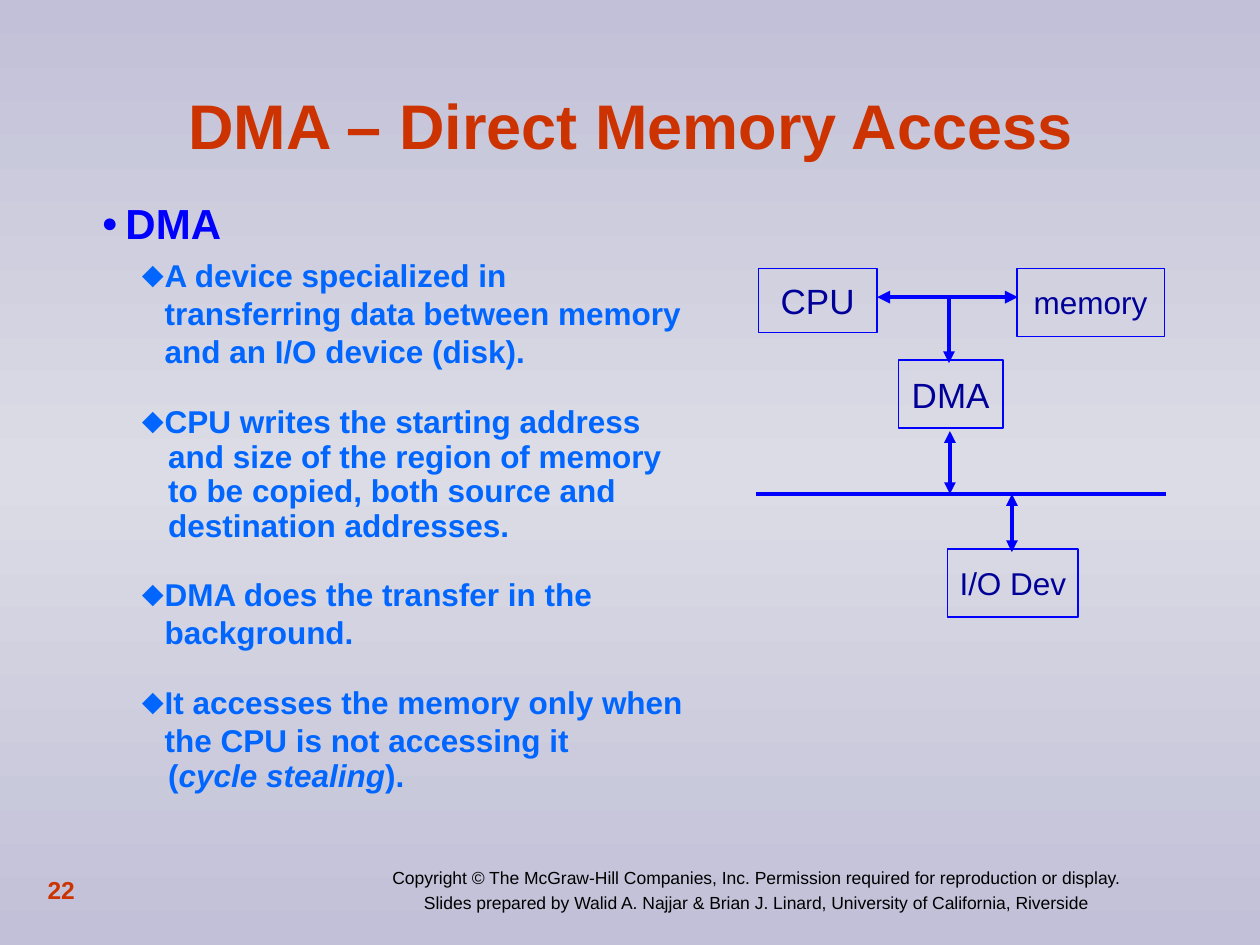
"""Build the slide on direct memory access with its bus diagram."""
from copy import deepcopy

from lxml import etree
from pptx import Presentation
from pptx import util as u
from pptx.dml.color import RGBColor
from pptx.enum import shapes, text
from pptx.oxml.ns import qn

BLUE = RGBColor(0x00, 0x00, 0xFF)
AZURE = RGBColor(0x00, 0x66, 0xFF)
NAVY = RGBColor(0x00, 0x00, 0x99)
RUST = RGBColor(0xCC, 0x33, 0x00)
BLACK = RGBColor(0x00, 0x00, 0x00)
LILAC = RGBColor(0xC1, 0xC0, 0xD8)
MIST = RGBColor(0xDB, 0xDC, 0xE5)

BACKGROUND = [(0, LILAC), (0.5, MIST), (1, LILAC)]
TITLE = ["DMA – Direct Memory Access"]
NUMBER = ["22"]
FOOTER = [
    "Copyright © The McGraw-Hill Companies, Inc. Permission required for reproduction or display.",
    "Slides prepared by Walid A. Najjar & Brian J. Linard, University of California, Riverside",
]
BODY = [
    ("head", ["DMA"]),
    ("first", ["A device specialized in transferring data between memory and an I/O device (disk)."]),
    ("item", ["CPU writes the starting address"]),
    ("more", ["and size of the region of memory"]),
    ("more", ["to be copied, both source and"]),
    ("more", ["destination addresses."]),
    ("item", ["DMA does the transfer in the background."]),
    ("item", ["It accesses the memory only when the CPU is not accessing it"]),
    ("more", ["(", "cycle stealing", ")."]),
]
ITALIC = {"cycle stealing"}
ITEM = {"size": 18, "color": AZURE, "level": 1, "left": 1.27, "hang": 0.46, "bullet": ("⬥", 100)}
STYLES = {
    "head": {"size": 24, "color": BLUE, "level": 0, "left": 0.48, "hang": 0.48,
             "bullet": ("●", 65), "format": {}},
    "first": ITEM | {"format": {"space_before": u.Pt(4.5)}},
    "item": ITEM | {"format": {"space_before": u.Pt(18.5)}},
    "more": ITEM | {"left": 1.34, "hang": 0, "bullet": None,
                    "format": {"space_before": u.Pt(4.5), "line_spacing": 0.7}},
}
BOXES = [
    ("CPU", 15.29, 5.41, 2.39, 1.3, 20, 0.75),
    ("memory", 20.5, 5.41, 2.97, 1.37, 18, 0.75),
    ("DMA", 18.11, 7.26, 2.11, 1.37, 20, 0.75),
    ("I/O Dev", 19.1, 11.07, 2.64, 1.37, 18, 1),
]
BUS_Y, LINK_Y = 9.96, 5.99
LINES = [
    (19.13, LINK_Y, 19.13, 7.32, 2.25, ["tailEnd"]),
    (19.15, 8.69, 19.15, BUS_Y, 2.25, ["headEnd", "tailEnd"]),
    (20.4, BUS_Y, 20.4, 11.13, 2.25, ["headEnd", "tailEnd"]),
    (15.24, BUS_Y, 23.5, BUS_Y, 2.5, []),
    (17.68, LINK_Y, 20.52, LINK_Y, 2.5, ["headEnd", "tailEnd"]),
]


def apply(obj, values):
    for name, value in values.items():
        setattr(obj, name, value)


def add_run(p, words, size, color, **values):
    r = p.add_run()
    r.text = words
    apply(r.font, {"name": "Arial", "size": u.Pt(size)} | values)
    r.font.color.rgb = color


def add_box(s, place, anchor=text.MSO_ANCHOR.MIDDLE):
    tf = s.shapes.add_textbox(*map(u.Cm, place)).text_frame
    apply(tf, {"word_wrap": True, "vertical_anchor": anchor})
    return tf


def paragraphs(tf, items):
    for i, item in enumerate(items):
        yield i, (tf.add_paragraph() if i else tf.paragraphs[0]), item


def add_lines(s, place, lines, size, color, align, **values):
    for i, p, line in paragraphs(add_box(s, place), lines):
        p.alignment = align
        if i:
            p.space_before = u.Pt(2.5)
        add_run(p, line, size, color, **values)


def set_bullet(p, style):
    pPr = p._p.get_or_add_pPr()
    pPr.set("marL", str(u.Cm(style["left"])))
    pPr.set("indent", str(-u.Cm(style["hang"])))
    if not style["bullet"]:
        etree.SubElement(pPr, qn("a:buNone"))
        return
    char, percent = style["bullet"]
    color = etree.SubElement(pPr, qn("a:buClr"))
    etree.SubElement(color, qn("a:srgbClr"), val=str(style["color"]))
    etree.SubElement(pPr, qn("a:buSzPct"), val=str(percent * 1000))
    etree.SubElement(pPr, qn("a:buFont"), typeface="Arial")
    etree.SubElement(pPr, qn("a:buChar"), char=char)


def add_body(s):
    tf = add_box(s, (1.8, 3.86, 12.27, 12.98), text.MSO_ANCHOR.TOP)
    for _, p, (kind, runs) in paragraphs(tf, BODY):
        style = STYLES[kind]
        set_bullet(p, style)
        apply(p, {"level": style["level"]} | style["format"])
        for words in runs:
            add_run(p, words, style["size"], style["color"], bold=True, italic=words in ITALIC)


def add_node(s, label, x, y, w, h, size, width):
    sp = s.shapes.add_shape(shapes.MSO_SHAPE.RECTANGLE, *map(u.Cm, (x, y, w, h)))
    sp.shadow.inherit = False
    sp.fill.background()
    sp.line.color.rgb = BLUE
    sp.line.width = u.Pt(width)
    tf = sp.text_frame
    apply(tf, {"word_wrap": False, "vertical_anchor": text.MSO_ANCHOR.MIDDLE})
    p = tf.paragraphs[0]
    p.alignment = text.PP_ALIGN.CENTER
    add_run(p, label, size, NAVY)


def add_line(s, x1, y1, x2, y2, width, ends):
    sp = s.shapes.add_connector(shapes.MSO_CONNECTOR.STRAIGHT, *map(u.Cm, (x1, y1, x2, y2)))
    sp.line.color.rgb = BLUE
    sp.line.width = u.Pt(width)
    for end in ends:
        etree.SubElement(sp.line._get_or_add_ln(), qn("a:" + end), type="triangle")
    etree.SubElement(sp._element.spPr, qn("a:effectLst"))


def set_background(s):
    fill = s.background.fill
    fill.gradient()
    fill.gradient_angle = 90
    stops = s.element.xpath(".//a:gsLst")[0]
    stops.append(deepcopy(stops[0]))
    for stop, (position, color) in zip(fill.gradient_stops, BACKGROUND):
        stop.position = position
        stop.color.rgb = color


def main():
    prs = Presentation()
    apply(prs, {"slide_width": u.Cm(25.4), "slide_height": u.Cm(19.05)})
    s = prs.slides.add_slide(prs.slide_layouts[6])
    set_background(s)
    center, left = text.PP_ALIGN.CENTER, text.PP_ALIGN.LEFT
    add_lines(s, (7.06, 17.35, 16.36, 1.19), FOOTER, 10, BLACK, center)
    add_lines(s, (1.3, 1.7, 22.83, 1.63), TITLE, 36, RUST, center, bold=True)
    add_body(s)
    for box in BOXES:
        add_node(s, *box)
    for line in LINES:
        add_line(s, *line)
    add_lines(s, (0.71, 17.3, 5.28, 1.27), NUMBER, 14, RUST, left, bold=True)
    prs.save("out.pptx")


if __name__ == "__main__":
    main()
